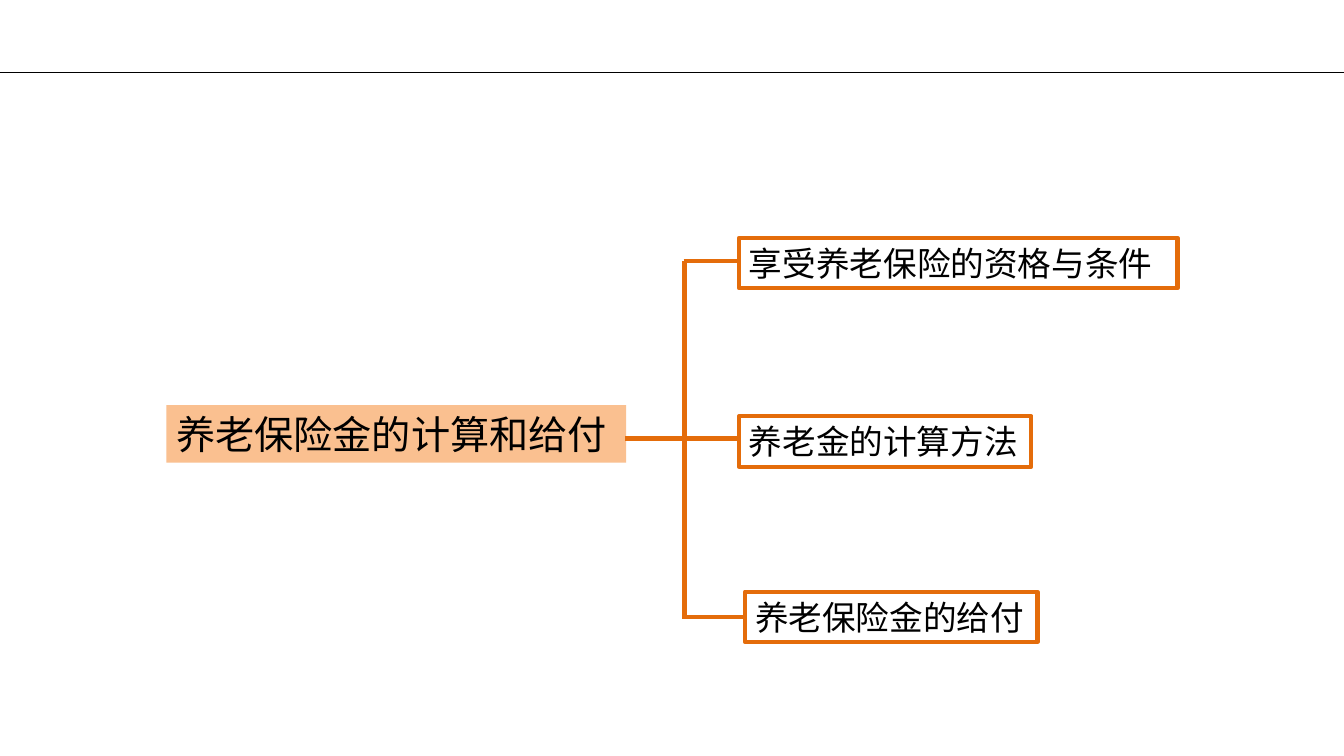
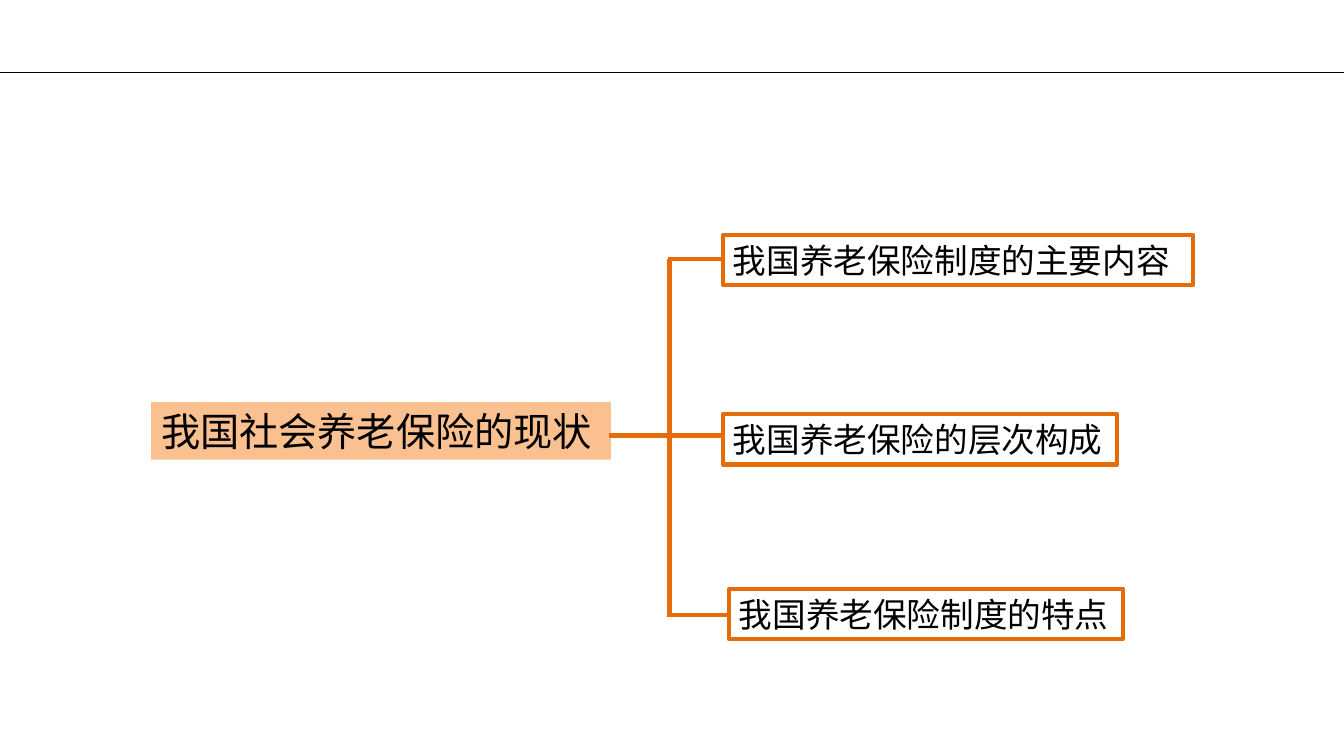
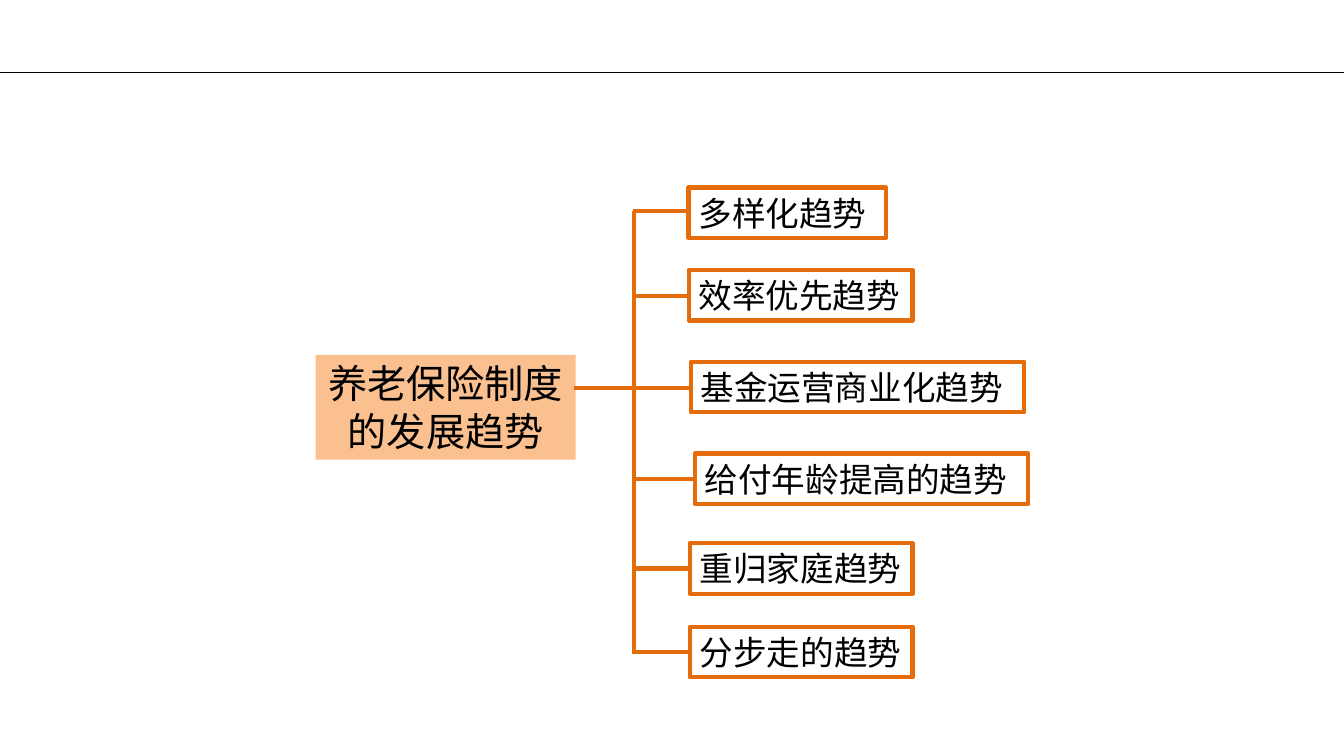
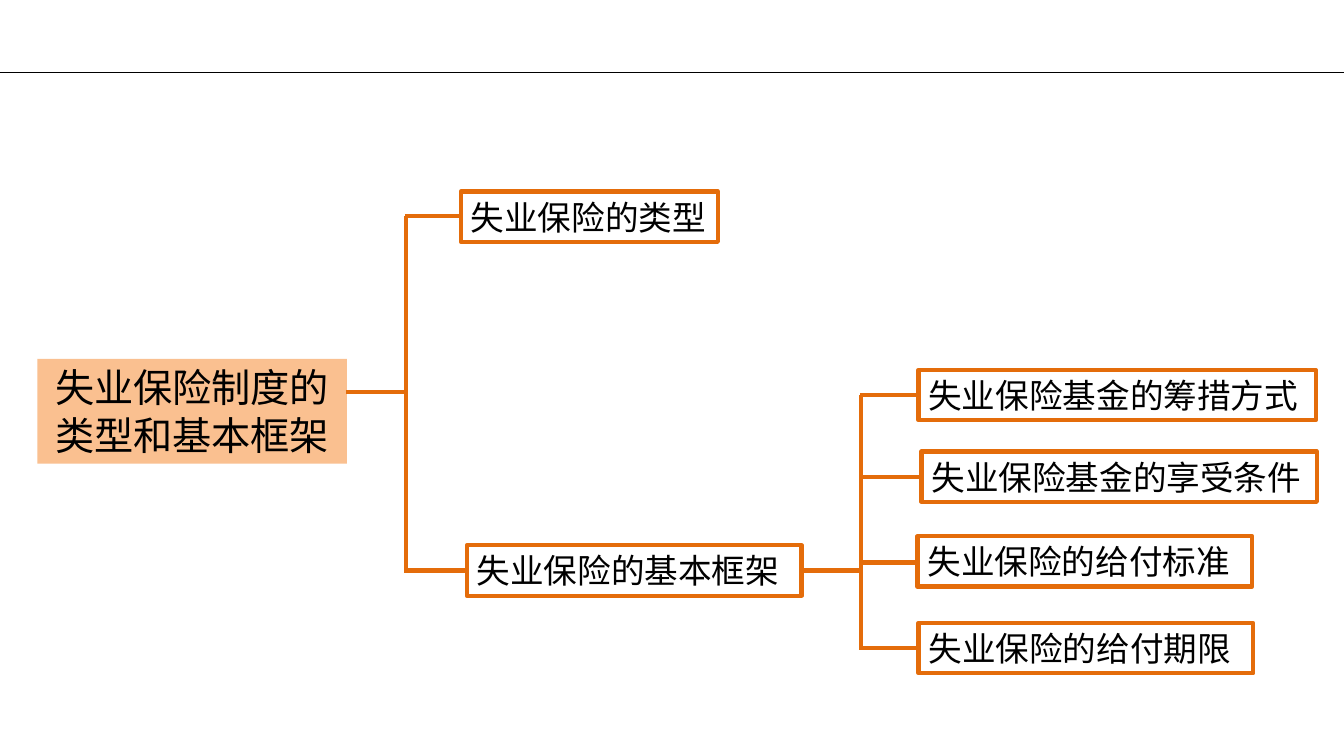
import dataclasses

import lxml.etree
import pptx
import pptx.dml.color
import pptx.enum.shapes
import pptx.enum.text
import pptx.oxml.ns
import pptx.util

PX = 9144  # EMU in one px, 100 px to the inch
SLIDE_W, SLIDE_H = 1333, 750
ROW_H = 50
LEFT = pptx.enum.text.PP_ALIGN.LEFT
CENTER = pptx.enum.text.PP_ALIGN.CENTER


@dataclasses.dataclass(frozen=True)
class Theme:
    font: str = "Calibri"
    text: str = "000000"
    topic_fill: str = "FAC090"
    branch: str = "E46C0A"
    topic_size: int = 28
    branch_size: int = 24
    branch_width: int = 3
    rule_width: int = 1


theme = Theme()

# Each tree: topic (left, top, width, height, alignment, text), then its branches.
# Each branch: stem start, stem y, trunk x, then rows (left, top, width, joint y, text).
trees = [
    ((165, 402, 456, 57, LEFT, "养老保险金的计算和给付"), [
        (620, 435, 679, [
            (733, 236, 435, 259, "享受养老保险的资格与条件"),
            (733, 413, 290, 435, "养老金的计算方法"),
            (739, 587, 290, 612, "养老保险金的给付"),
        ]),
    ]),
    ((150, 399, 456, 57, LEFT, "我国社会养老保险的现状"), [
        (604, 432, 664, [
            (717, 233, 466, 257, "我国养老保险制度的主要内容"),
            (717, 411, 391, 432, "我国养老保险的层次构成"),
            (723, 584, 391, 610, "我国养老保险制度的特点"),
        ]),
    ]),
    ((313, 352, 258, 104, CENTER, "养老保险制度的发展趋势"), [
        (569, 385, 629, [
            (683, 186, 196, 209, "多样化趋势"),
            (683, 268, 222, 294, "效率优先趋势"),
            (685, 359, 331, 385, "基金运营商业化趋势"),
            (689, 450, 331, 475, "给付年龄提高的趋势"),
            (684, 539, 221, 564, "重归家庭趋势"),
            (684, 622, 221, 647, "分步走的趋势"),
        ]),
    ]),
    ((37, 356, 307, 104, CENTER, "失业保险制度的\n类型和基本框架"), [
        (343, 389, 403, [
            (457, 190, 255, 214, "失业保险的类型"),
            (463, 541, 332, 566, "失业保险的基本框架"),
        ]),
        (795, 566, 854, [
            (911, 367, 394, 392, "失业保险基金的筹措方式"),
            (914, 448, 392, 473, "失业保险基金的享受条件"),
            (910, 532, 332, 558, "失业保险的给付标准"),
            (911, 618, 332, 643, "失业保险的给付期限"),
        ]),
    ]),
]


def add_line(slide, x1, y1, x2, y2, color, width):
    line = slide.shapes.add_connector(
        pptx.enum.shapes.MSO_CONNECTOR.STRAIGHT, *(v * PX for v in (x1, y1, x2, y2)))
    line.line.color.rgb = pptx.dml.color.RGBColor.from_string(color)
    line.line.width = pptx.util.Pt(width)
    properties = line.element.find(pptx.oxml.ns.qn("p:spPr"))
    lxml.etree.SubElement(properties, pptx.oxml.ns.qn("a:effectLst"))
    return line


def add_label(slide, left, top, width, height, text, size, align):
    label = slide.shapes.add_textbox(*(v * PX for v in (left, top, width, height)))
    label.text_frame.word_wrap = True
    label.text_frame.auto_size = pptx.enum.text.MSO_AUTO_SIZE.SHAPE_TO_FIT_TEXT
    label.text_frame.text = text
    for paragraph in label.text_frame.paragraphs:
        paragraph.alignment = align
        paragraph.font.name = theme.font
        paragraph.font.size = pptx.util.Pt(size)
        paragraph.font.color.rgb = pptx.dml.color.RGBColor.from_string(theme.text)
    return label


prs = pptx.Presentation()
prs.slide_width = SLIDE_W * PX
prs.slide_height = SLIDE_H * PX
blank = prs.slide_layouts[6]
slides = [prs.slides.add_slide(blank) for _ in trees]

# Header rule, moved to the shared layout
header_rule = add_line(slides[0], 0, 72, SLIDE_W, 72, theme.text, theme.rule_width)
header_rule.element.find(".//" + pptx.oxml.ns.qn("p:cNvPr")).set("id", "99")
blank.shapes.element.append(header_rule.element)

for slide, (topic, branches) in zip(slides, trees):
    # Topic box
    left, top, width, height, align, text = topic
    topic_box = add_label(slide, left, top, width, height, text, theme.topic_size, align)
    topic_box.fill.solid()
    topic_box.fill.fore_color.rgb = pptx.dml.color.RGBColor.from_string(theme.topic_fill)

    for stem_x, stem_y, trunk_x, rows in branches:
        # Stem and trunk
        first_y, last_y = rows[0][3], rows[-1][3]
        add_line(slide, stem_x, stem_y, trunk_x, stem_y, theme.branch, theme.branch_width)
        add_line(slide, trunk_x, first_y, trunk_x, last_y + 2, theme.branch, theme.branch_width)

        # Rows hanging from the trunk
        for left, top, width, joint_y, text in rows:
            add_line(slide, trunk_x - 1, joint_y, left, joint_y, theme.branch, theme.branch_width)
            row_box = add_label(slide, left, top, width, ROW_H, text, theme.branch_size, LEFT)
            row_box.line.color.rgb = pptx.dml.color.RGBColor.from_string(theme.branch)
            row_box.line.width = pptx.util.Pt(theme.branch_width)

prs.save("out.pptx")
